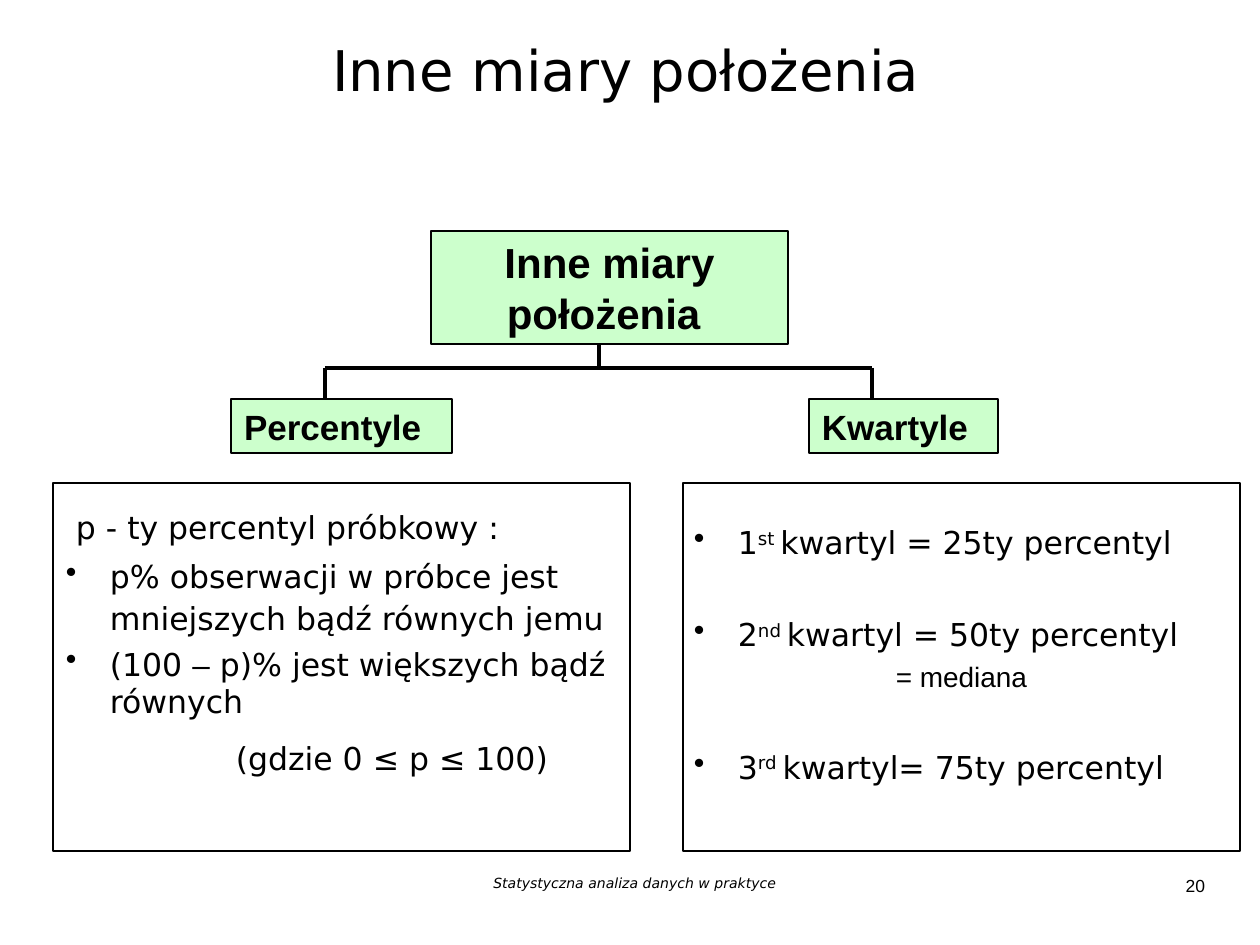
import pptx
import pptx.dml.color
import pptx.enum.shapes
import pptx.enum.text
import pptx.oxml.ns
import pptx.util
import lxml.etree

COLORS = {"ink": "000000", "node": "CCFFCC"}
SANS = "DejaVu Sans"
ARIAL = "Arial"
ALIGN = pptx.enum.text.PP_ALIGN
ANCHOR = pptx.enum.text.MSO_ANCHOR


class SlideBuilder:
    PX_PER_INCH = 126

    def __init__(self, page):
        self.page = page

    def px(self, length):
        return pptx.util.Emu(round(length * 914400 / self.PX_PER_INCH))

    def color(self, name):
        return pptx.dml.color.RGBColor.from_string(COLORS[name])

    def frame(self, shape, anchor, inset=13):
        frame = shape.text_frame
        frame.word_wrap = True
        frame.vertical_anchor = anchor
        frame.margin_left = frame.margin_right = self.px(inset)
        frame.margin_top = frame.margin_bottom = self.px(6)
        return frame

    def span(self, para, text, size, font=SANS, bold=False, italic=False, raised=False):
        span = para.add_run()
        span.text = text
        span.font.size = pptx.util.Pt(size)
        span.font.name = font
        span.font.bold = bold
        span.font.italic = italic
        span.font.color.rgb = self.color("ink")
        if raised:
            span._r.get_or_add_rPr().set("baseline", "30000")

    def label(self, place, text, size, align, anchor=ANCHOR.TOP, **style):
        box = self.page.shapes.add_textbox(*map(self.px, place))
        para = self.frame(box, anchor).paragraphs[0]
        para.alignment = align
        self.span(para, text, size, **style)

    def rectangle(self, place, width, fill=None):
        box = self.page.shapes.add_shape(
            pptx.enum.shapes.MSO_SHAPE.RECTANGLE, *map(self.px, place))
        box.shadow.inherit = False
        if fill:
            box.fill.solid()
            box.fill.fore_color.rgb = self.color(fill)
        else:
            box.fill.background()
        box.line.color.rgb = self.color("ink")
        box.line.width = pptx.util.Pt(width)
        return box

    def node(self, place, text, size, align):
        box = self.rectangle(place, 1, "node")
        para = self.frame(box, ANCHOR.TOP).paragraphs[0]
        para.alignment = align
        self.span(para, text, size, font=ARIAL, bold=True)

    def panel(self, place, inset, items):
        frame = self.frame(self.rectangle(place, 0.75), ANCHOR.TOP, inset)
        for index, item in enumerate(items):
            para = frame.paragraphs[0] if index == 0 else frame.add_paragraph()
            self.item(para, **item)

    def item(self, para, spans, indent=44, bullet=False, before=4.5, spacing=1.0):
        para.alignment = ALIGN.LEFT
        para.space_before = pptx.util.Pt(before)
        para.line_spacing = spacing
        settings = para._p.get_or_add_pPr()
        settings.set("marL", str(self.px(indent)))
        settings.set("indent", str(self.px(-indent if bullet else 0)))
        if bullet:
            mark = lxml.etree.SubElement(settings, pptx.oxml.ns.qn("a:buChar"))
            mark.set("char", "•")
        for text, style in spans:
            self.span(para, text, **{"size": 18, **style})

    def line(self, *ends):
        line = self.page.shapes.add_connector(
            pptx.enum.shapes.MSO_CONNECTOR.STRAIGHT, *map(self.px, ends))
        line.line.color.rgb = self.color("ink")
        line.line.width = pptx.util.Pt(2.25)
        lxml.etree.SubElement(line._element.spPr, pptx.oxml.ns.qn("a:effectLst"))


def quartile(number, suffix, rest, **layout):
    spans = [(number, {}), (suffix, {"raised": True}), (rest, {})]
    return {"spans": spans, "bullet": True, **layout}


def main():
    deck = pptx.Presentation()
    deck.slide_width = pptx.util.Inches(10)
    deck.slide_height = pptx.util.Inches(7.5)
    slide = SlideBuilder(deck.slides.add_slide(deck.slide_layouts[6]))

    slide.label((253, 869, 764, 39), "Statystyczna analiza danych w praktyce", 8,
                ALIGN.CENTER, italic=True)
    slide.label((1137, 869, 81, 39), "20", 10, ALIGN.RIGHT, font=ARIAL)

    trunk, left, right, fork = 599, 325, 872, 368
    slide.line(trunk, 305, trunk, fork)
    slide.line(right, fork, right, 441)
    slide.line(left, fork, right, fork)
    slide.line(left, fork, left, 431)

    slide.label((164, 26, 942, 87), "Inne miary położenia ", 32, ALIGN.CENTER,
                ANCHOR.MIDDLE)
    slide.node((431, 231, 357, 113), "Inne miary położenia ", 24, ALIGN.CENTER)
    slide.node((231, 399, 221, 54), "Percentyle", 20, ALIGN.LEFT)
    slide.node((809, 399, 189, 54), "Kwartyle", 20, ALIGN.LEFT)

    slide.panel((683, 483, 557, 368), 11, [
        quartile("1", "st ", "kwartyl = 25ty percentyl", spacing=1.9),
        quartile("2", "nd ", "kwartyl = 50ty percentyl", before=31),
        {"spans": [("= mediana", {"size": 16, "font": ARIAL})],
         "indent": 202, "before": 4},
        quartile("3", "rd ", "kwartyl= 75ty percentyl", before=31),
    ])
    slide.panel((53, 483, 577, 368), 13, [
        {"spans": [("p - ty percentyl próbkowy :", {})], "indent": 10, "spacing": 1.5},
        {"spans": [("p% obserwacji w próbce jest mniejszych bądź równych jemu", {})],
         "bullet": True, "spacing": 1.1},
        {"spans": [("(100 ", {}), ("–", {"font": ARIAL}),
                   (" p)% jest większych bądź równych", {})], "bullet": True},
        {"spans": [("(gdzie 0 ≤ p ≤ 100)", {})], "indent": 170, "spacing": 1.3},
    ])
    deck.save("out.pptx")


if __name__ == "__main__":
    main()
